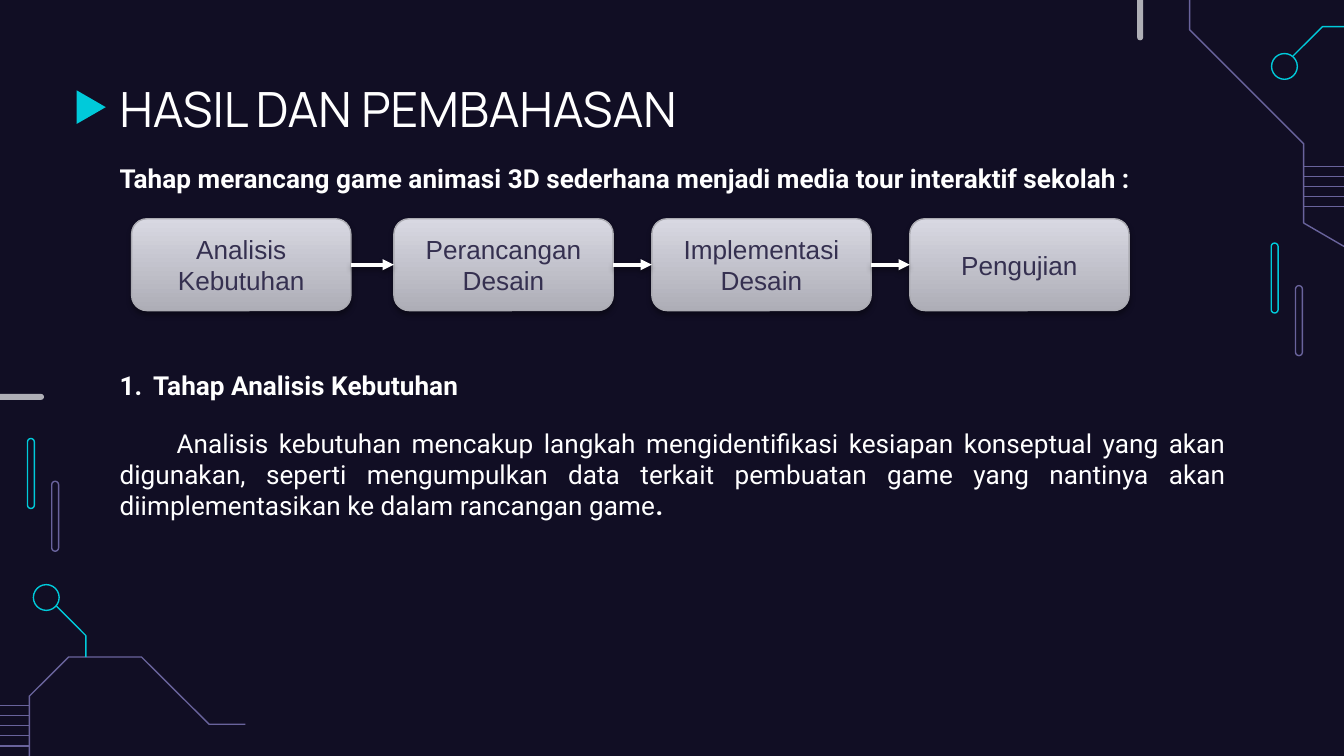
import pptx
import pptx.util
import pptx.dml.color
import pptx.enum.shapes
import pptx.enum.text
import pptx.oxml
import pptx.oxml.ns

Pt = pptx.util.Pt
RGBColor = pptx.dml.color.RGBColor
MSO_SHAPE = pptx.enum.shapes.MSO_SHAPE
STRAIGHT = pptx.enum.shapes.MSO_CONNECTOR.STRAIGHT
ALIGN = pptx.enum.text.PP_ALIGN
ANCHOR = pptx.enum.text.MSO_ANCHOR

NIGHT = RGBColor(0x11, 0x0E, 0x24)
CYAN = RGBColor(0x00, 0xCA, 0xDA)
PURPLE = RGBColor(0x69, 0x63, 0x9C)
GREY = RGBColor(0xAF, 0xAF, 0xB6)
BOX_DARK = RGBColor(0xAE, 0xAE, 0xB7)
BOX_LIGHT = RGBColor(0xD8, 0xD8, 0xE2)
BOX_EDGE = RGBColor(0xAB, 0xAB, 0xB2)
INK = RGBColor(0x35, 0x30, 0x50)
WHITE = RGBColor(0xFF, 0xFF, 0xFF)

WIDTH, HEIGHT = 720, 405

TITLE = "HASIL DAN PEMBAHASAN"
INTRO = "Tahap merancang game animasi 3D sederhana menjadi media tour interaktif sekolah :"
STAGES = [
    ("Analisis Kebutuhan", 70.5),
    ("Perancangan Desain", 211),
    ("Implementasi Desain", 349.2),
    ("Pengujian", 487.4),
]
HEADING = "Tahap Analisis Kebutuhan"
DETAIL = (
    "Analisis kebutuhan mencakup langkah mengidentifikasi kesiapan konseptual yang akan "
    "digunakan, seperti mengumpulkan data terkait pembuatan game yang nantinya akan "
    "diimplementasikan ke dalam rancangan game"
)

PILLS = [(681, 130.2, CYAN), (694, 153, PURPLE), (14.7, 234.9, CYAN), (27.7, 257.8, PURPLE)]
BARS = [(609.2, -12, 3.2, 33.6), (-12, 211, 35.6, 3.2)]
CIRCLES = [(681.2, 28.7), (17.9, 313.2)]
LADDERS = [(698.4, WIDTH, 89.2), (0, 15.5, 378)]  # left, right, first rung
RUNGS, RUNG_STEP = 5, 5.4
TRACES = [
    (PURPLE, [(637.3, 0), (637.3, 16), (698.4, 77), (698.4, 119.5), (WIDTH, 132)]),
    (CYAN, [(692.7, 30), (708.5, 14.3), (WIDTH, 14.3)]),
    (PURPLE, [(131.5, 388), (112, 388), (75.8, 352), (36.8, 352), (15.7, 373), (15.7, HEIGHT)]),
    (CYAN, [(30.3, 324.7), (46, 340.5), (46, 352)]),
]


def add_shape(slide, kind, left, top, width, height, fill=None, line=None):
    shape = slide.shapes.add_shape(kind, Pt(left), Pt(top), Pt(width), Pt(height))
    paint(shape, fill, line)
    return shape


def paint(shape, fill, line):
    shape.shadow.inherit = False
    if fill is None:
        shape.fill.background()
    else:
        shape.fill.solid()
        shape.fill.fore_color.rgb = fill
    if line is None:
        shape.line.fill.background()
    else:
        shape.line.color.rgb = line
        shape.line.width = Pt(0.75)


def add_line(slide, start, end, color, width):
    line = slide.shapes.add_connector(STRAIGHT, *(Pt(value) for value in start + end))
    line.line.color.rgb = color
    line.line.width = Pt(width)
    pptx.oxml.ns.qn("a:effectLst")
    line._element.spPr.append(element("<a:effectLst {ns}/>"))
    return line


def element(xml):
    return pptx.oxml.parse_xml(xml.format(ns=pptx.oxml.ns.nsdecls("a")))


def add_shadow(shape, alpha, distance):
    effects = shape._element.spPr.find(pptx.oxml.ns.qn("a:effectLst"))
    effects.append(element(
        f'<a:outerShdw {{ns}} blurRad="{Pt(3.1)}" dist="{Pt(distance)}" dir="5400000" rotWithShape="0">'
        f'<a:srgbClr val="000000"><a:alpha val="{alpha * 1000}"/></a:srgbClr></a:outerShdw>'))


def add_run(paragraph, text, size, font, color, bold=False):
    run = paragraph.add_run()
    run.text = text
    run.font.size = Pt(size)
    run.font.name = font
    run.font.bold = bold
    run.font.color.rgb = color


def add_text_frame(slide, top, height, anchor=ANCHOR.TOP):
    frame = slide.shapes.add_textbox(Pt(57), Pt(top), Pt(607), Pt(height)).text_frame
    frame.word_wrap = True
    frame.vertical_anchor = anchor
    frame.margin_left = frame.margin_right = frame.margin_top = frame.margin_bottom = Pt(7.2)
    return frame


def add_decoration(slide):
    for left, top, color in PILLS:
        pill = add_shape(slide, MSO_SHAPE.ROUNDED_RECTANGLE, left, top, 3.7, 37.5, line=color)
        pill.adjustments[0] = 0.5
    for left, right, first in LADDERS:
        for rung in range(RUNGS):
            y = first + rung * RUNG_STEP
            add_line(slide, (left, y), (right, y), PURPLE, 0.75)
    for color, points in TRACES:
        start, *rest = [(Pt(x), Pt(y)) for x, y in points]
        builder = slide.shapes.build_freeform(*start)
        builder.add_line_segments(rest, close=False)
        paint(builder.convert_to_shape(), None, color)
    for left, top in CIRCLES:
        add_shape(slide, MSO_SHAPE.OVAL, left, top, 13.8, 13.8, line=CYAN)
    for bar in BARS:
        add_shape(slide, MSO_SHAPE.ROUNDED_RECTANGLE, *bar, fill=GREY).adjustments[0] = 0.5
    marker = add_shape(slide, MSO_SHAPE.FLOWCHART_MERGE, 39.9, 49.6, 18, 15.6, fill=CYAN)
    marker.rotation = 270


def add_stage(slide, name, left):
    box = add_shape(slide, MSO_SHAPE.ROUNDED_RECTANGLE, left, 117.2, 117.5, 49.2, line=BOX_EDGE)
    box.fill.gradient()
    box.fill.gradient_angle = 90
    for stop, color in zip(box.fill.gradient_stops, (BOX_DARK, BOX_LIGHT)):
        stop.color.rgb = color
    add_shadow(box, 35, 1.8)
    box.text_frame.vertical_anchor = ANCHOR.MIDDLE
    paragraph = box.text_frame.paragraphs[0]
    paragraph.alignment = ALIGN.CENTER
    add_run(paragraph, name, 14, "Arial", INK)
    return box


def add_flow(slide):
    boxes = [add_stage(slide, name, left) for name, left in STAGES]
    for box, following in zip(boxes, boxes[1:]):
        arrow = add_line(slide, (0, 0), (0, 0), WHITE, 2)
        arrow.begin_connect(box, 3)
        arrow.end_connect(following, 1)
        arrow.line._get_or_add_ln().append(element('<a:tailEnd {ns} type="triangle"/>'))
        add_shadow(arrow, 38, 1.6)


def add_texts(slide):
    title = add_text_frame(slide, 35.3, 45.4, ANCHOR.MIDDLE).paragraphs[0]
    add_run(title, TITLE, 26, "Manrope", WHITE)

    intro = add_text_frame(slide, 80, 28.8).paragraphs[0]
    intro.alignment = ALIGN.JUSTIFY
    add_run(intro, INTRO, 14, "Roboto", WHITE, True)

    frame = add_text_frame(slide, 190.8, 160.6)
    heading = frame.paragraphs[0]
    heading.alignment = ALIGN.JUSTIFY
    add_run(heading, HEADING, 14, "Roboto", WHITE, True)
    properties = heading._p.get_or_add_pPr()
    properties.set("marL", str(Pt(18)))
    properties.set("indent", str(Pt(-18)))
    for xml in (f'<a:buClr {{ns}}><a:srgbClr val="{WHITE}"/></a:buClr>',
                '<a:buFont {ns} typeface="Roboto"/>',
                '<a:buAutoNum {ns} type="arabicPeriod"/>'):
        properties.append(element(xml))

    detail = frame.add_paragraph()
    detail.alignment = ALIGN.JUSTIFY
    detail.space_before = Pt(14)
    detail._p.get_or_add_pPr().set("indent", str(Pt(30.5)))
    add_run(detail, DETAIL, 14, "Roboto", WHITE)
    add_run(detail, ".", 14, "Roboto", WHITE, True)


def main():
    presentation = pptx.Presentation()
    presentation.slide_width, presentation.slide_height = Pt(WIDTH), Pt(HEIGHT)
    slide = presentation.slides.add_slide(presentation.slide_layouts[6])
    slide.background.fill.solid()
    slide.background.fill.fore_color.rgb = NIGHT
    add_decoration(slide)
    add_flow(slide)
    add_texts(slide)
    presentation.save("out.pptx")


if __name__ == "__main__":
    main()
